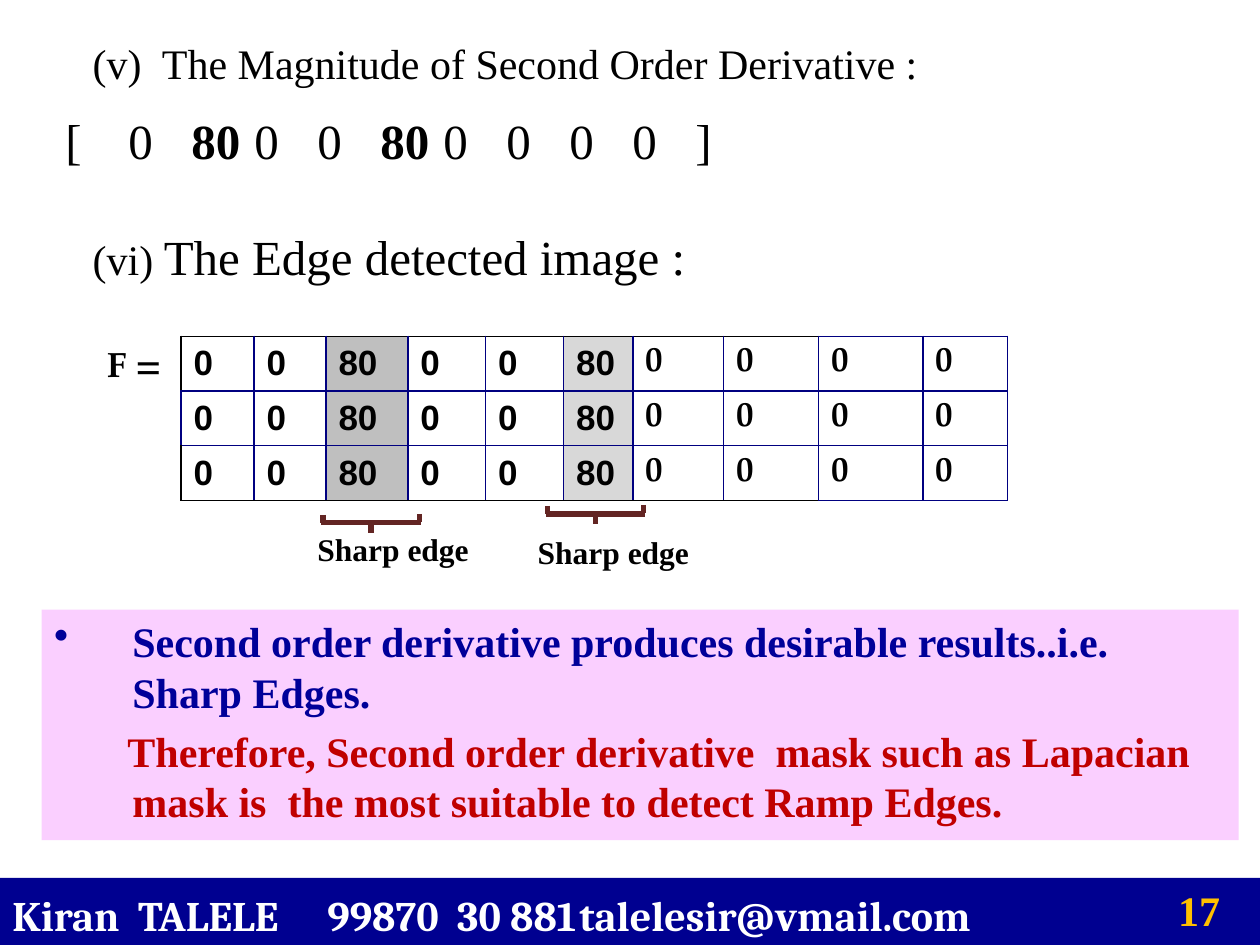
from dataclasses import dataclass

from lxml.etree import SubElement
from pptx import Presentation
from pptx.dml.color import RGBColor
from pptx.enum.shapes import MSO_CONNECTOR, MSO_SHAPE
from pptx.enum.text import MSO_ANCHOR, PP_ALIGN
from pptx.oxml.ns import qn
from pptx.util import Cm, Pt


@dataclass(frozen=True)
class Theme:
    black: str = "000000"
    white: str = "FFFFFF"
    navy: str = "000080"
    footer: str = "000090"
    blue: str = "000099"
    red: str = "C00000"
    gold: str = "FFC000"
    pink: str = "FACFFF"
    brown: str = "632523"
    dark_grey: str = "BFBFBF"
    light_grey: str = "D8D8D8"
    serif: str = "Times New Roman"
    sans: str = "Arial"
    book: str = "TeX Gyre Pagella"
    footer_font: str = "Cambria"
    label: int = 18
    cell: int = 20
    body: int = 24
    large: int = 28


class SlideBuilder:
    def __init__(self, presentation, theme):
        self.theme = theme
        self.slide = presentation.slides.add_slide(presentation.slide_layouts[6])

    def fill_paragraph(self, paragraph, runs, margin=0, indent=0, bullet=None, tabs=(),
                       before=0, **style):
        paragraph.alignment = PP_ALIGN.LEFT
        if before:
            paragraph.space_before = Pt(before)
        properties = paragraph._p.get_or_add_pPr()
        properties.set("marL", str(Cm(margin)))
        properties.set("indent", str(Cm(indent)))
        if bullet:
            color = SubElement(properties, qn("a:buClr"))
            SubElement(color, qn("a:srgbClr"), val=bullet)
            SubElement(properties, qn("a:buChar"), char="•")
        else:
            SubElement(properties, qn("a:buNone"))
        if tabs:
            tab_list = SubElement(properties, qn("a:tabLst"))
            for position in tabs:
                SubElement(tab_list, qn("a:tab"), pos=str(Cm(position)), algn="l")
        defaults = {"name": self.theme.serif, "size": self.theme.body,
                    "bold": False, "color": self.theme.black}
        for text, changes in runs:
            run = paragraph.add_run()
            run.text = text
            values = {**defaults, **style, **changes}
            run.font.color.rgb = RGBColor.from_string(values.pop("color"))
            values["size"] = Pt(values["size"])
            for name, value in values.items():
                setattr(run.font, name, value)

    def text(self, box, runs, **style):
        frame = self.slide.shapes.add_textbox(*map(Cm, box)).text_frame
        frame.word_wrap = True
        self.fill_paragraph(frame.paragraphs[0], runs, **style)

    def panel(self, box, fill, paragraphs, **frame_format):
        shape = self.slide.shapes.add_shape(MSO_SHAPE.RECTANGLE, *map(Cm, box))
        shape.shadow.inherit = False
        shape.fill.solid()
        shape.fill.fore_color.rgb = RGBColor.from_string(fill)
        shape.line.fill.background()
        frame = shape.text_frame
        for name, value in {"word_wrap": True, **frame_format}.items():
            setattr(frame, name, value)
        for index, (runs, style) in enumerate(paragraphs):
            paragraph = frame.add_paragraph() if index else frame.paragraphs[0]
            self.fill_paragraph(paragraph, runs, **style)

    def line(self, x1, y1, x2, y2):
        connector = self.slide.shapes.add_connector(
            MSO_CONNECTOR.STRAIGHT, *map(Cm, (x1, y1, x2, y2)))
        connector.line.color.rgb = RGBColor.from_string(self.theme.brown)
        connector.line.width = Pt(3)
        SubElement(connector._element.spPr, qn("a:effectLst"))

    def bracket(self, left, bar):
        self.line(left + 0.03, bar - 0.16, left + 0.03, bar)
        self.line(left, bar, left + 2, bar)
        self.line(left + 1, bar - 0.03, left + 1, bar + 0.2)
        self.line(left + 1.97, bar - 0.18, left + 1.97, bar - 0.02)

    def borders(self, cell, colors):
        properties = cell._tc.get_or_add_tcPr()
        for side, color in colors.items():
            border = SubElement(properties, qn(f"a:ln{side}"), w=str(Pt(1)))
            fill = SubElement(border, qn("a:solidFill"))
            SubElement(fill, qn("a:srgbClr"), val=color)

    def table(self, left, top, widths, height, rows, fills, sans_columns, black_columns):
        theme = self.theme
        last = len(rows) - 1
        table = self.slide.shapes.add_table(
            len(rows), len(widths), Cm(left), Cm(top),
            Cm(sum(widths)), Cm(height * len(rows))).table
        for flag in ("first_row", "horz_banding"):
            setattr(table, flag, False)
        for column, width in zip(table.columns, widths):
            column.width = Cm(width)
        for r, values in enumerate(rows):
            table.rows[r].height = Cm(height)
            for c, value in enumerate(values):
                cell = table.cell(r, c)
                outer = {"L": c == 0 and r in (0, last), "R": False,
                         "T": r == 0 and c < black_columns,
                         "B": r == last and c < black_columns}
                self.borders(cell, {side: theme.black if edge else theme.navy
                                    for side, edge in outer.items()})
                cell.fill.solid()
                cell.fill.fore_color.rgb = RGBColor.from_string(fills.get(c, theme.white))
                cell.vertical_anchor = MSO_ANCHOR.MIDDLE
                self.fill_paragraph(cell.text_frame.paragraphs[0], [(str(value), {})],
                                    name=theme.sans if c < sans_columns else theme.book,
                                    size=theme.cell, bold=True)


def main():
    theme = Theme()
    presentation = Presentation()
    presentation.slide_width, presentation.slide_height = Cm(25.4), Cm(19.05)
    builder = SlideBuilder(presentation, theme)

    builder.text((0.2, 0.64, 24.13, 1.3),
                 [("(v)  The Magnitude of Second Order Derivative :", {})], margin=1.42)

    strong = {"bold": True}
    builder.text((-0.2, 2.11, 24.56, 1.7),
                 [("\t[\t0\t", {}), ("80", strong), ("\t0\t0\t", {}),
                  ("80", strong), ("\t0\t0\t0\t0\t]", {})],
                 size=theme.large,
                 tabs=(3.36, 4.47, 5.69, 7.67, 8.89, 9.88, 12.12, 14.07, 16.31, 18.26, 19.76))

    builder.text((0.2, 4.45, 23.29, 1.45),
                 [("(vi) ", {}), ("The Edge detected image :", {"size": theme.large})],
                 margin=1.42)

    builder.text((1.91, 6.78, 2.24, 0.84), [("F =", {})],
                 name=theme.book, size=theme.cell, bold=True)
    builder.table(3.65, 6.78,
                  (1.47, 1.45, 1.65, 1.57, 1.57, 1.4, 1.83, 1.91, 2.11, 1.7), 1.09,
                  [[0, 0, 80, 0, 0, 80, 0, 0, 0, 0]] * 3,
                  {2: theme.dark_grey, 5: theme.light_grey},
                  sans_columns=6, black_columns=8)

    for label_left, label_top, bracket_left, bar in (
            (6.15, 10.57, 6.48, 10.54), (10.59, 10.62, 11, 10.36)):
        builder.bracket(bracket_left, bar)
        builder.text((label_left, label_top, 3.61, 1.02), [("Sharp edge", {})],
                     size=theme.label, bold=True)

    builder.panel((0.84, 12.29, 24.13, 4.65), theme.pink, [
        ([("Second order derivative produces desirable results..i.e. Sharp Edges.", {})],
         {"margin": 1.58, "indent": -1.58, "bullet": theme.blue,
          "color": theme.blue, "bold": True}),
        ([("Therefore, Second order derivative  mask such as Lapacian mask is  "
           "the most suitable to detect Ramp Edges.", {})],
         {"margin": 1.58, "indent": -0.1, "before": 4.8,
          "color": theme.red, "bold": True}),
    ], vertical_anchor=MSO_ANCHOR.TOP)

    builder.panel((0, 17.7, 25.4, 1.47), theme.footer, [
        ([("Kiran  TALELE\t99870  30 881\ttalelesir@vmail.com", {})],
         {"tabs": (6.3, 11.86), "name": theme.footer_font,
          "color": theme.white, "bold": True}),
    ], vertical_anchor=MSO_ANCHOR.MIDDLE, margin_top=0, margin_bottom=0)
    builder.text((23.5, 17.7, 1.7, 1.55), [("17", {})], color=theme.gold, bold=True)

    presentation.save("out.pptx")


if __name__ == "__main__":
    main()
